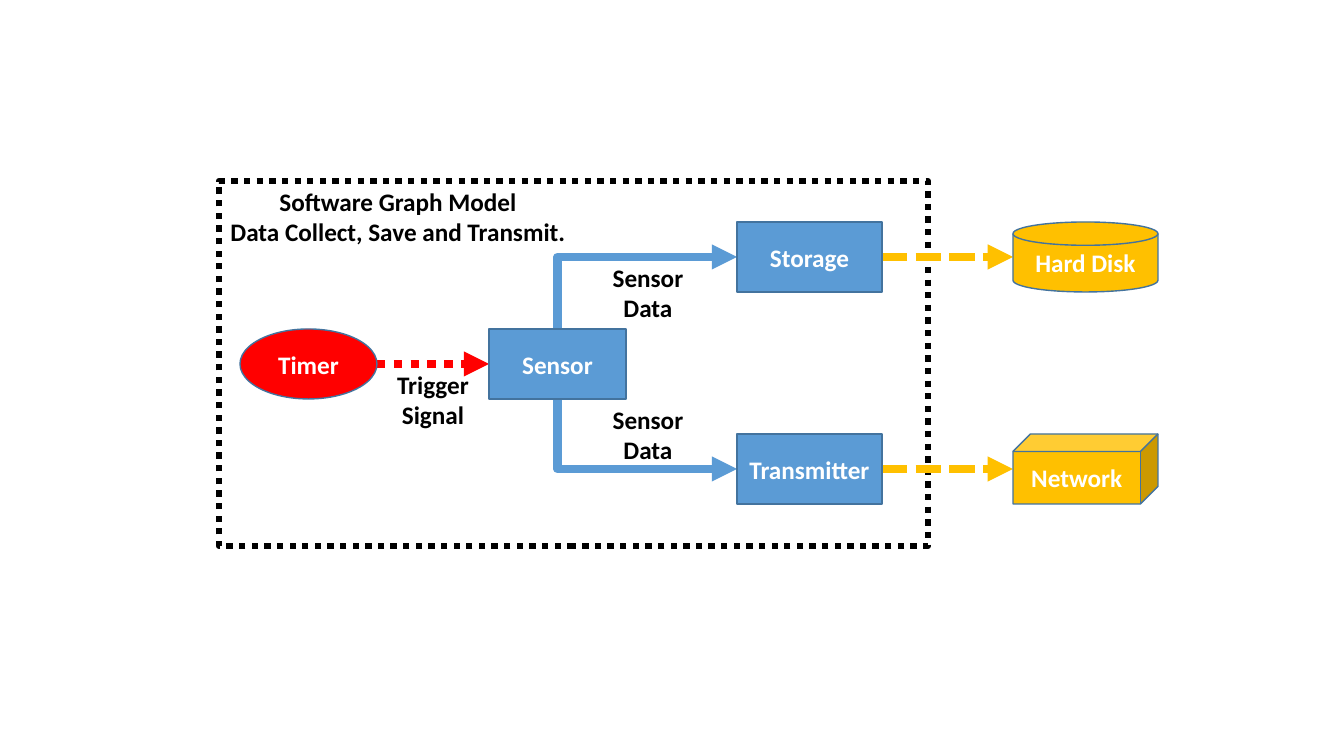
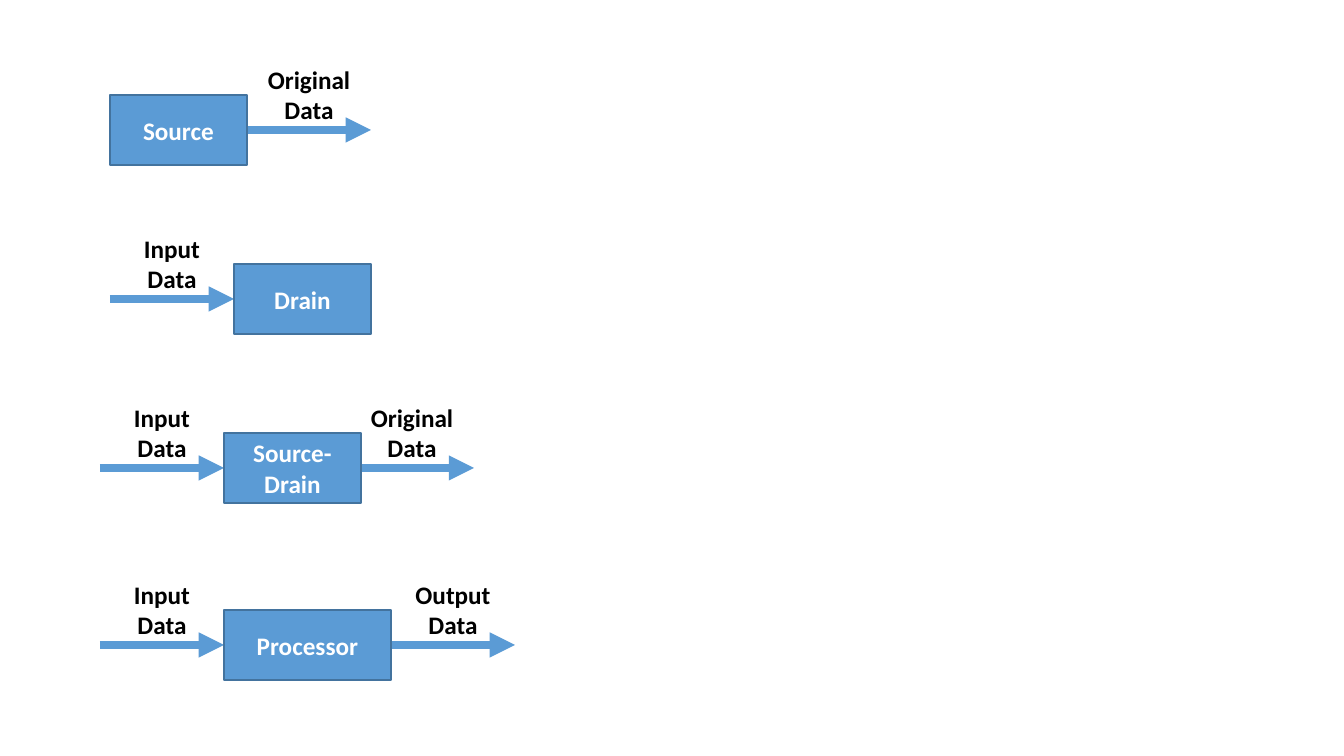
"""Build two slides: a sensor software graph and its four kinds of node."""
from lxml.etree import SubElement
from pptx import Presentation
from pptx.dml.color import RGBColor
from pptx.enum.dml import MSO_LINE
from pptx.enum.shapes import MSO_CONNECTOR, MSO_SHAPE
from pptx.enum.text import MSO_ANCHOR, MSO_AUTO_SIZE, PP_ALIGN
from pptx.oxml.ns import qn
from pptx.util import Pt

COLORS = {"node": "5B9BD5", "edge": "43739E", "trigger": "FF0000",
          "external": "FFC000", "ink": "000000", "paper": "FFFFFF"}
FONT, TEXT_SIZE = "Calibri", 18
EMU_PER_PX = 914400 / 100.8
NODE_H, LABEL_H, NODE_W, ARROW_W = 70, 71, 137, 124

FRAME = (219, 181, 709, 365)
HEADING = ("Software Graph Model", "Data Collect, Save and Transmit.")
HEADING_W = 358
GRAPH_NODES = {
    "Sensor": (MSO_SHAPE.RECTANGLE, 489, 364, NODE_W, "node"),
    "Storage": (MSO_SHAPE.RECTANGLE, 737, 257, 145, "node"),
    "Transmitter": (MSO_SHAPE.RECTANGLE, 737, 469, 145, "node"),
    "Hard Disk": (MSO_SHAPE.FLOWCHART_MAGNETIC_DISK, 1013, 257, 145, "external"),
    "Network": (MSO_SHAPE.CUBE, 1013, 469, 145, "external"),
    "Timer": (MSO_SHAPE.OVAL, 240, 364, NODE_W, "trigger"),
}
STRAIGHT_LINKS = [
    ("Timer", "Sensor", "trigger", MSO_LINE.ROUND_DOT),
    ("Storage", "Hard Disk", "external", MSO_LINE.SQUARE_DOT),
    ("Transmitter", "Network", "external", MSO_LINE.SQUARE_DOT),
]
BENT_LINKS = [("Sensor", "Storage"), ("Sensor", "Transmitter")]
GRAPH_LABELS = [
    (("Trigger", "Signal"), 433, 364, 93),
    (("Sensor", "Data"), 648, 257, 92),
    (("Sensor", "Data"), 648, 399, 92),
]

LABEL_WIDTHS = {"Input": 77, "Original": 103, "Output": 96}
NODE_KINDS = [
    ("Source-Drain", 224, 468, NODE_W, "Input", "Original", 11),
    ("Source", 110, 130, NODE_W, None, "Original", 0),
    ("Drain", 234, 299, NODE_W, "Input", None, 0),
    ("Processor", 224, 645, 167, "Input", "Output", 0),
]


def px(*lengths):
    return [round(length * EMU_PER_PX) for length in lengths]


def rgb(name):
    return RGBColor.from_string(COLORS[name])


def write(frame, lines, color):
    for number, line in enumerate(lines):
        paragraph = frame.add_paragraph() if number else frame.paragraphs[0]
        paragraph.alignment = PP_ALIGN.CENTER
        run = paragraph.add_run()
        run.text = line
        font = run.font
        font.name, font.size, font.bold = FONT, Pt(TEXT_SIZE), True
        font.color.rgb = rgb(color)


def add_label(shapes, lines, center, top, width):
    box = shapes.add_textbox(*px(center - width / 2, top, width, LABEL_H))
    box.text_frame.word_wrap = False
    box.text_frame.auto_size = MSO_AUTO_SIZE.SHAPE_TO_FIT_TEXT
    write(box.text_frame, lines, "ink")


def add_node(shapes, name, kind, left, middle, width, color):
    node = shapes.add_shape(kind, *px(left, middle - NODE_H / 2, width, NODE_H))
    node.shadow.inherit = False
    node.fill.solid()
    node.fill.fore_color.rgb = rgb(color)
    node.line.color.rgb = rgb("edge")
    node.line.width = Pt(1)
    node.text_frame.word_wrap = True
    node.text_frame.vertical_anchor = MSO_ANCHOR.MIDDLE
    write(node.text_frame, [name], "paper")


def add_arrow(shapes, start, end, color="node", dash=None, kind=MSO_CONNECTOR.STRAIGHT):
    arrow = shapes.add_connector(kind, *px(*start, *end))
    arrow.line.color.rgb = rgb(color)
    arrow.line.width = Pt(6)
    if dash:
        arrow.line.dash_style = dash
    properties = arrow._element.spPr
    SubElement(properties.find(qn("a:ln")), qn("a:tailEnd"), type="triangle")
    SubElement(properties, qn("a:effectLst"))
    return arrow


def add_bent_arrow(shapes, start, end):
    (x1, y1), (x2, y2) = start, end
    center_x, center_y = (x1 + x2) / 2, (y1 + y2) / 2
    half_w, half_h = abs(y2 - y1) / 2, (x2 - x1) / 2
    rising = y2 < y1
    reach = half_h if rising else -half_h
    arrow = add_arrow(shapes, (center_x + half_w, center_y + reach),
                      (center_x - half_w, center_y - reach), kind=MSO_CONNECTOR.ELBOW)
    properties = arrow._element.spPr
    properties.find(qn("a:xfrm")).set("rot", str((90 if rising else 270) * 60000))
    properties.find(qn("a:prstGeom")).set("prst", "bentConnector2")


def draw_graph(shapes):
    frame = shapes.add_shape(MSO_SHAPE.RECTANGLE, *px(*FRAME))
    frame.shadow.inherit = False
    frame.fill.background()
    frame.line.color.rgb = rgb("ink")
    frame.line.width = Pt(4.5)
    frame.line.dash_style = MSO_LINE.ROUND_DOT

    for source, target, color, dash in STRAIGHT_LINKS:
        _, left, middle, width, _ = GRAPH_NODES[source]
        add_arrow(shapes, (left + width, middle), (GRAPH_NODES[target][1], middle), color, dash)
    for source, target in BENT_LINKS:
        _, left, middle, width, _ = GRAPH_NODES[source]
        _, target_left, target_middle, _, _ = GRAPH_NODES[target]
        side = NODE_H / 2 if target_middle > middle else -NODE_H / 2
        add_bent_arrow(shapes, (left + width / 2, middle + side), (target_left, target_middle))
    for label in GRAPH_LABELS:
        add_label(shapes, *label)
    add_label(shapes, HEADING, FRAME[0] + HEADING_W / 2, FRAME[1], HEADING_W)
    for name, node in GRAPH_NODES.items():
        add_node(shapes, name, *node)


def draw_kind(shapes, name, left, middle, width, inflow, outflow, overlap):
    for flow, start in ((inflow, left - ARROW_W), (outflow, left + width - overlap)):
        if flow:
            add_arrow(shapes, (start, middle), (start + ARROW_W, middle))
            add_label(shapes, (flow, "Data"), start + ARROW_W / 2,
                      middle - LABEL_H, LABEL_WIDTHS[flow])
    add_node(shapes, name, MSO_SHAPE.RECTANGLE, left, middle, width, "node")


deck = Presentation()
deck.slide_width, deck.slide_height = px(1344, 756)
graph_slide, kinds_slide = [deck.slides.add_slide(deck.slide_layouts[6]) for _ in range(2)]
draw_graph(graph_slide.shapes.add_group_shape().shapes)
for node_kind in NODE_KINDS:
    draw_kind(kinds_slide.shapes.add_group_shape().shapes, *node_kind)
deck.save("out.pptx")
